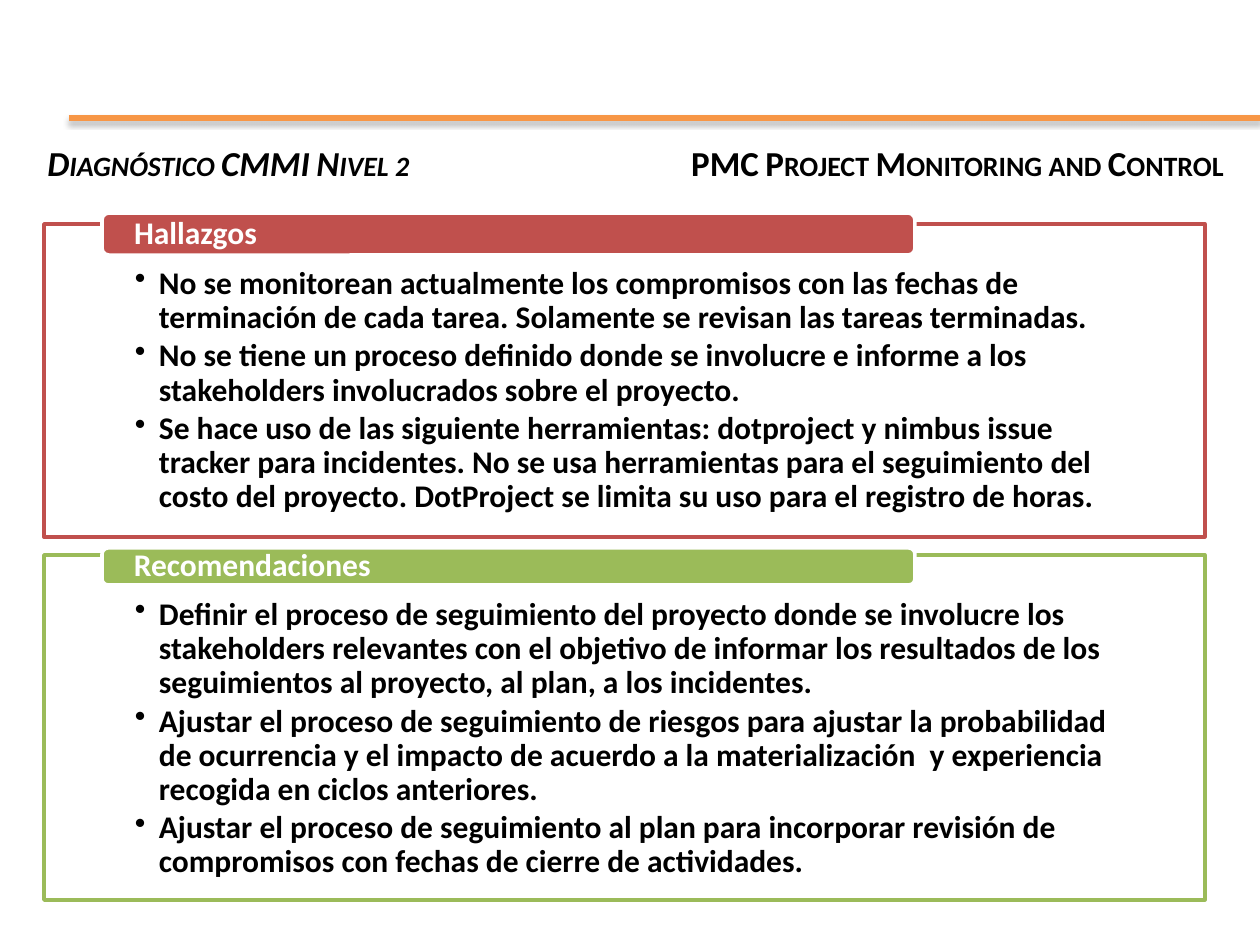
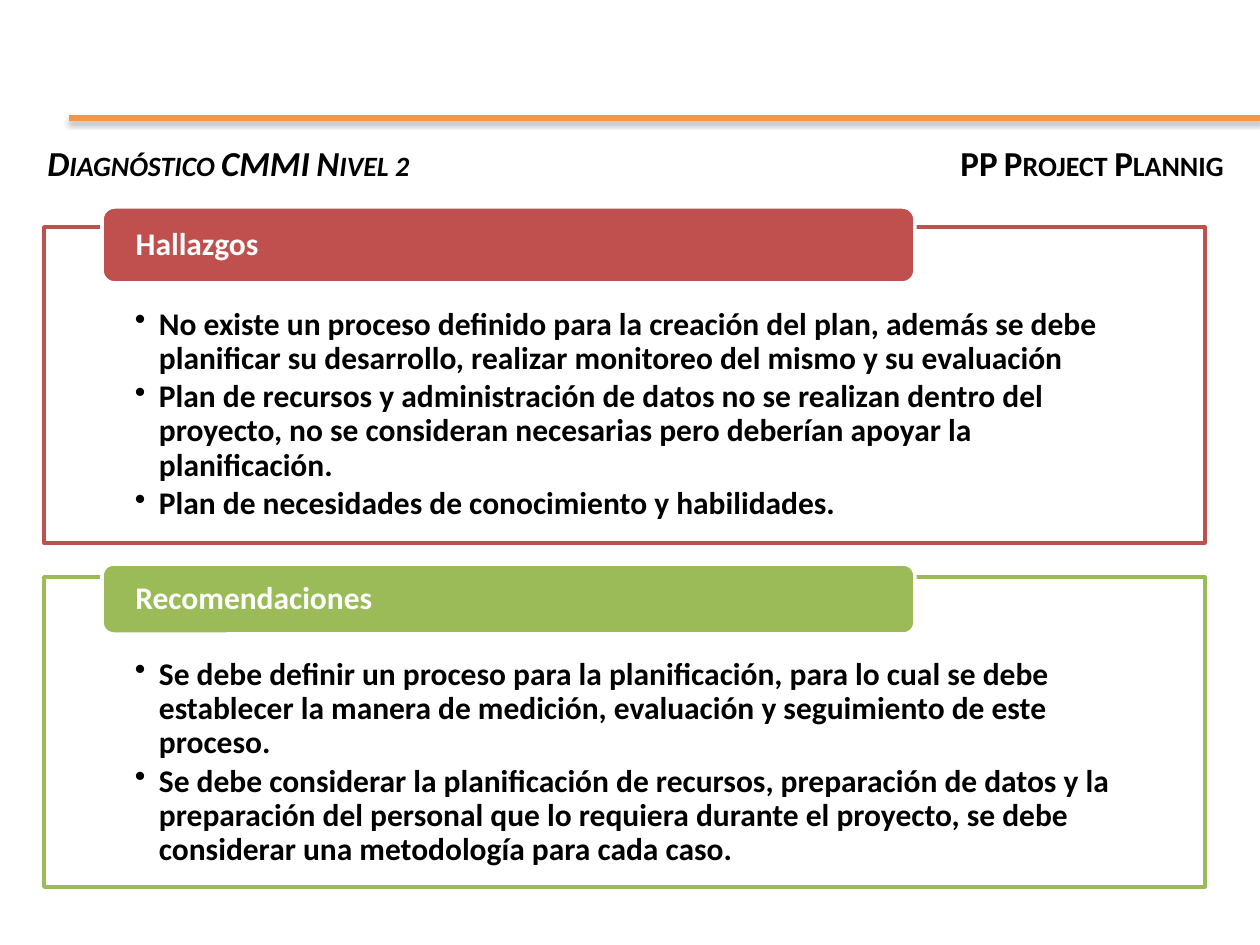
from lxml.etree import SubElement
from pptx import Presentation
from pptx.dml.color import RGBColor
from pptx.enum.shapes import MSO_CONNECTOR as Connector, MSO_SHAPE as Preset
from pptx.enum.text import MSO_ANCHOR as Anchor, PP_ALIGN as Align
from pptx.oxml.ns import qn
from pptx.util import Pt

BLACK = RGBColor(0x00, 0x00, 0x00)
WHITE = RGBColor(0xFF, 0xFF, 0xFF)
ORANGE = RGBColor(0xF7, 0x96, 0x46)
RED = RGBColor(0xC0, 0x50, 0x4D)
GREEN = RGBColor(0x9B, 0xBB, 0x59)
FONT = "Calibri"

HEADING = "Diagnóstico CMMI Nivel 2"
SECTIONS = [("Hallazgos", RED), ("Recomendaciones", GREEN)]
SLIDES = [
    {
        "area": "PMC Project Monitoring and Control",
        "text_top": 43,
        "panels": [
            {"frame": (224, 313), "banner": (213, 42), "points": [
                "No se monitorean actualmente los compromisos con las fechas de terminación de cada tarea. Solamente se revisan las tareas terminadas.",
                "No se tiene un proceso definido donde se involucre e informe a los stakeholders involucrados sobre el proyecto.",
                "Se hace uso de las siguiente herramientas: dotproject y nimbus issue tracker para incidentes. No se usa herramientas para el seguimiento del costo del proyecto. DotProject se limita su uso para el registro de horas.",
            ]},
            {"frame": (555, 345), "banner": (548, 37), "points": [
                "Definir el proceso de seguimiento del proyecto donde se involucre los stakeholders relevantes con el objetivo de informar los resultados de los seguimientos al proyecto, al plan, a los incidentes.",
                "Ajustar el proceso de seguimiento de riesgos para ajustar la probabilidad de ocurrencia y el impacto de acuerdo a la materialización  y experiencia recogida en ciclos anteriores.",
                "Ajustar el proceso de seguimiento al plan para incorporar revisión de compromisos con fechas de cierre de actividades.",
            ]},
        ],
    },
    {
        "area": "PP Project Plannig",
        "text_top": 81,
        "panels": [
            {"frame": (227, 316), "banner": (207, 76), "points": [
                "No existe un proceso definido para la creación del plan, además se debe planificar su desarrollo, realizar monitoreo del mismo y su evaluación",
                "Plan de recursos y administración de datos no se realizan dentro del proyecto, no se consideran necesarias pero deberían apoyar la planificación.",
                "Plan de necesidades de conocimiento y habilidades.",
            ]},
            {"frame": (577, 310), "banner": (564, 70), "points": [
                "Se debe definir un proceso para la planificación, para lo cual se debe establecer la manera de medición, evaluación y seguimiento de este proceso.",
                "Se debe considerar la planificación de recursos, preparación de datos y la preparación del personal que lo requiera durante el proyecto, se debe considerar una metodología para cada caso.",
            ]},
        ],
    },
]

SLIDE_WIDTH, SLIDE_HEIGHT = 1260, 945
RULE_LEFT, RULE_Y = 69, 118
HEADING_BOX = (35, 135, 1201, 59)
FRAME_LEFT, FRAME_WIDTH = 44, 1161
BANNER_LEFT, BANNER_WIDTH = 102, 813
FRAME_INSET, FRAME_BOTTOM, BANNER_INSET = 91, 18, 30
BULLET_INDENT = 24


def px(length):
    return round(length * 914400 / 126)


def add_run(paragraph, text, size, color, italic=False):
    run = paragraph.add_run()
    run.text = text
    run.font.name = FONT
    run.font.size = Pt(size)
    run.font.bold = True
    run.font.italic = italic
    run.font.color.rgb = color
    return run


def add_rule(slide):
    rule = slide.shapes.add_connector(
        Connector.STRAIGHT, px(RULE_LEFT), px(RULE_Y), px(SLIDE_WIDTH), px(RULE_Y))
    rule.line.color.rgb = ORANGE
    rule.line.width = Pt(3)
    effects = SubElement(rule._element.spPr, qn("a:effectLst"))
    shadow = SubElement(effects, qn("a:outerShdw"), blurRad=str(Pt(3.1)),
                        dist=str(Pt(1.8)), dir="5400000", rotWithShape="0")
    color = SubElement(shadow, qn("a:srgbClr"), val=str(BLACK))
    SubElement(color, qn("a:alpha"), val="35000")


def add_heading(slide, area):
    frame = slide.shapes.add_textbox(*map(px, HEADING_BOX)).text_frame
    frame.word_wrap = True
    frame._txBody.bodyPr.set("numCol", "2")
    left, right = frame.paragraphs[0], frame.add_paragraph()
    right.alignment = Align.RIGHT
    for paragraph, text, italic in ((left, HEADING, True), (right, area, False)):
        run = add_run(paragraph, text, 20, BLACK, italic)
        run._r.get_or_add_rPr().set("cap", "small")


def add_block(slide, preset, box, fill, line, insets, anchor):
    shape = slide.shapes.add_shape(preset, *map(px, box))
    shape.shadow.inherit = False
    shape.fill.solid()
    shape.fill.fore_color.rgb = fill
    shape.line.color.rgb = line
    shape.line.width = Pt(2)
    frame = shape.text_frame
    frame.word_wrap = True
    frame.vertical_anchor = anchor
    frame.margin_left = frame.margin_right = px(insets[0])
    frame.margin_top, frame.margin_bottom = px(insets[1]), px(insets[2])
    return shape


def format_paragraph(paragraph):
    paragraph.alignment = Align.LEFT
    paragraph.line_spacing = 0.9


def add_points(frame, points):
    for index, point in enumerate(points):
        paragraph = frame.add_paragraph() if index else frame.paragraphs[0]
        format_paragraph(paragraph)
        paragraph.level = 1
        paragraph.space_after = Pt(2.7)
        properties = paragraph._p.get_or_add_pPr()
        properties.set("marL", str(px(BULLET_INDENT)))
        properties.set("indent", str(-px(BULLET_INDENT)))
        SubElement(properties, qn("a:buChar"), char="•")
        add_run(paragraph, point, 18, BLACK)


def add_panel(slide, title, color, panel, text_top):
    top, height = panel["frame"]
    body = add_block(slide, Preset.RECTANGLE, (FRAME_LEFT, top, FRAME_WIDTH, height),
                     WHITE, color, (FRAME_INSET, text_top, FRAME_BOTTOM), Anchor.TOP)
    fill_color = body._element.spPr.find(qn("a:solidFill"))[0]
    SubElement(fill_color, qn("a:alpha"), val="90000")
    add_points(body.text_frame, panel["points"])

    top, height = panel["banner"]
    banner = add_block(slide, Preset.ROUNDED_RECTANGLE, (BANNER_LEFT, top, BANNER_WIDTH, height),
                       color, WHITE, (BANNER_INSET, 0, 0), Anchor.MIDDLE)
    paragraph = banner.text_frame.paragraphs[0]
    format_paragraph(paragraph)
    add_run(paragraph, title, 18, WHITE)


def main():
    presentation = Presentation()
    presentation.slide_width = px(SLIDE_WIDTH)
    presentation.slide_height = px(SLIDE_HEIGHT)
    for content in SLIDES:
        slide = presentation.slides.add_slide(presentation.slide_layouts[6])
        add_rule(slide)
        add_heading(slide, content["area"])
        for (title, color), panel in zip(SECTIONS, content["panels"]):
            add_panel(slide, title, color, panel, content["text_top"])
    presentation.save("out.pptx")


if __name__ == "__main__":
    main()
